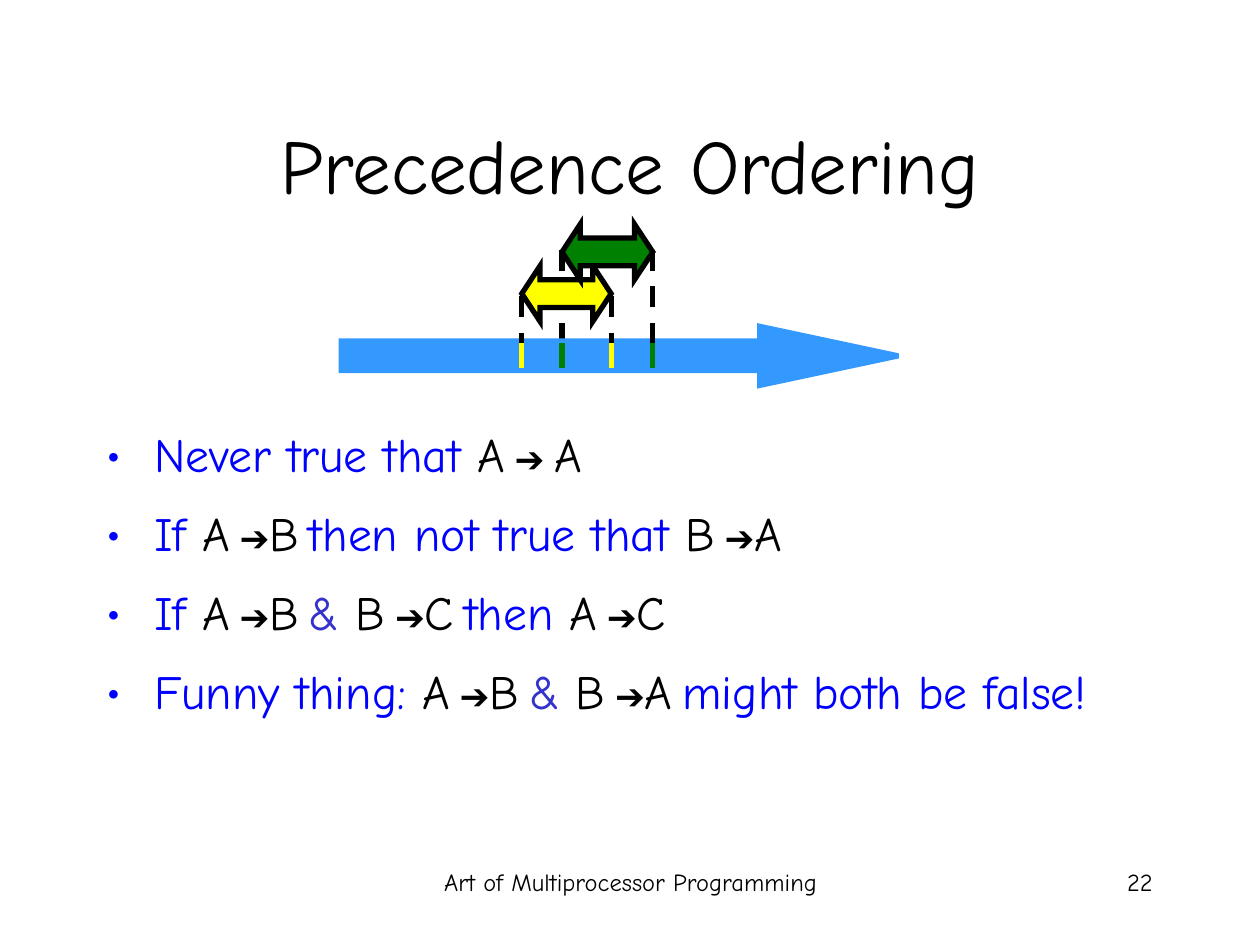
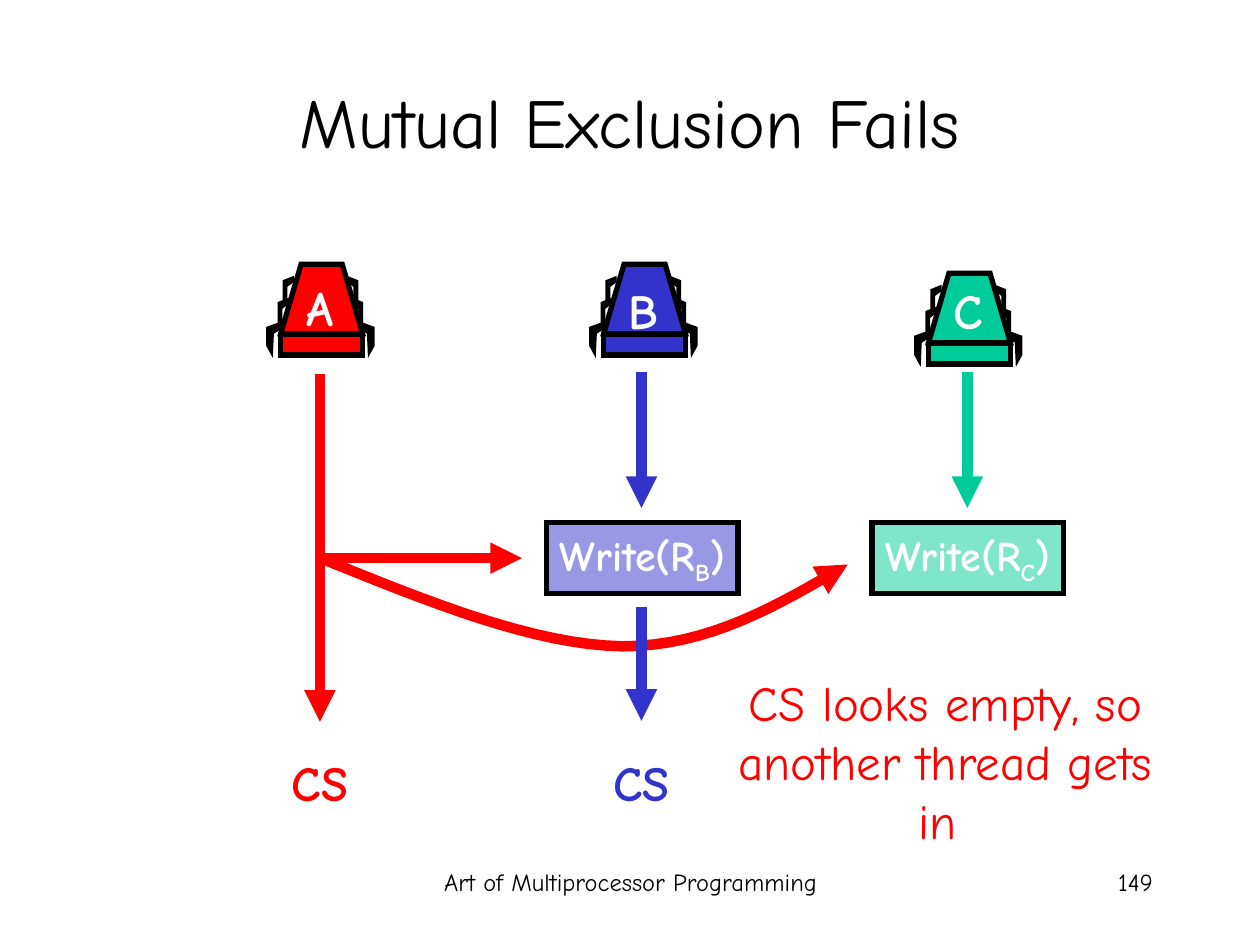
from itertools import groupby

from lxml import etree
from pptx import Presentation
from pptx import util as u
from pptx.dml.color import RGBColor
from pptx.enum import dml, shapes, text
from pptx.oxml.ns import qn

FONT = "Comic Neue"
BLACK, WHITE, RED, YELLOW = "000000", "FFFFFF", "FF0000", "FFFF00"
BLUE, INDIGO, SKY = "0000FF", "3333CC", "3399FF"
GREEN, TEAL = "008000", "00CC99"
CENTER, RIGHT = text.PP_ALIGN.CENTER, text.PP_ALIGN.RIGHT
FOOTER = "Art of Multiprocessor Programming"
ARROW = "➔"

BULLETS = [
    [("Never true that ", BLUE), ("A ➔ A", BLACK)],
    [("If ", BLUE), ("A ➔B ", BLACK), ("then not true that ", BLUE), ("B ➔A", BLACK)],
    [("If ", BLUE), ("A ➔B ", BLACK), ("& ", INDIGO), ("B ➔C ", BLACK),
     ("then ", BLUE), ("A ➔C", BLACK)],
    [("Funny thing: ", BLUE), ("A ➔B ", BLACK), ("& ", INDIGO), ("B ➔A ", BLACK),
     ("might both be false!", BLUE)],
]

SMALL_LEG = [(0, 0), (0.2, 0.08), (0.2, 0.48), (0.13, 0.56), (0.13, 0.2), (0, 0.1)]
LARGE_LEG = [(0, 0), (0.36, 0.13), (0.36, 0.5), (0.25, 0.7), (0.23, 0.25), (0.03, 0.13)]
LEGS = [(1.52, 1.14, LARGE_LEG), (1.45, 0.69, SMALL_LEG), (1.35, 0.25, SMALL_LEG)]
LEG_MIRROR = 1.6
HOOD = [(0, 1.4), (0.41, 0), (1.24, 0), (1.65, 1.4)]


def color(value):
    return RGBColor.from_string(value)


def apply(target, values):
    for name, value in values.items():
        setattr(target, name, value)


def add_child(parent, tag, **attributes):
    return etree.SubElement(parent, qn(tag), attributes)


def place(shape, left, top, width, height):
    apply(shape, {"left": u.Cm(left), "top": u.Cm(top),
                  "width": u.Cm(width), "height": u.Cm(height)})


def add_run(paragraph, content, fill, size, bold=False, name=FONT):
    run = paragraph.add_run()
    run.text = content
    apply(run.font, {"size": u.Pt(size), "bold": bold, "name": name})
    run.font.color.rgb = color(fill)
    return run


def add_label(slide, box, content, fill, size, align=CENTER, bold=False):
    shape = slide.shapes.add_textbox(*map(u.Cm, box))
    shape.text_frame.word_wrap = True
    paragraph = shape.text_frame.paragraphs[0]
    paragraph.alignment = align
    add_run(paragraph, content, fill, size, bold)


def style_shape(shape, fill, outline=BLACK, width=3):
    shape.shadow.inherit = False
    shape.fill.solid()
    shape.fill.fore_color.rgb = color(fill)
    shape.line.color.rgb = color(outline)
    shape.line.width = u.Pt(width)
    add_child(shape.line._get_or_add_ln(), "a:miter", lim="800000")


def add_block(slide, kind, box, fill, outline=BLACK, adjustments=()):
    shape = slide.shapes.add_shape(kind, *map(u.Cm, box))
    for index, value in enumerate(adjustments):
        shape.adjustments[index] = value
    style_shape(shape, fill, outline)
    return shape


def draw_outline(slide, points, close=True):
    points = [(u.Cm(x), u.Cm(y)) for x, y in points]
    builder = slide.shapes.build_freeform(*points[0], scale=1.0)
    builder.add_line_segments(points[1:], close=close)
    return builder.convert_to_shape()


def style_line(shape, fill, width, dashed=False, arrow=False):
    shape.line.color.rgb = color(fill)
    shape.line.width = u.Pt(width)
    if dashed:
        shape.line.dash_style = dml.MSO_LINE.DASH
    if arrow:
        add_child(shape.line._get_or_add_ln(), "a:tailEnd", type="triangle")


def add_line(slide, start, end, fill, width=3, **options):
    line = slide.shapes.add_connector(
        shapes.MSO_CONNECTOR.STRAIGHT, *map(u.Cm, start + end))
    style_line(line, fill, width, **options)
    add_child(line._element.spPr, "a:effectLst")


def bezier(points, steps=16):
    a, b, c, d = points
    for step in range(1, steps + 1):
        t = step / steps
        s = 1 - t
        yield tuple(s**3 * a[i] + 3 * s * s * t * b[i] + 3 * s * t * t * c[i] + t**3 * d[i]
                    for i in (0, 1))


def add_curve(slide, knots, fill, width):
    points = [knots[0]]
    for first in range(0, len(knots) - 1, 3):
        points.extend(bezier(knots[first:first + 4]))
    curve = draw_outline(slide, points, close=False)
    curve.shadow.inherit = False
    curve.fill.background()
    style_line(curve, fill, width, arrow=True)


def add_slide(presentation, layout, title, size, top, number):
    slide = presentation.slides.add_slide(presentation.slide_layouts[layout])
    add_label(slide, (8.69, 17.35, 8.05, 1.27), FOOTER, BLACK, 14)
    add_label(slide, (18.21, 17.35, 5.28, 1.27), number, BLACK, 14, RIGHT)
    place(slide.shapes.title, 1.9, top, 21.6, 3.18)
    frame = slide.shapes.title.text_frame
    apply(frame, {"vertical_anchor": text.MSO_ANCHOR.MIDDLE,
                  "auto_size": text.MSO_AUTO_SIZE.NONE})
    frame.paragraphs[0].alignment = CENTER
    add_run(frame.paragraphs[0], title, BLACK, size)
    return slide


def add_relation(paragraph, content, fill):
    for is_arrow, letters in groupby(content, lambda letter: letter in (" ", ARROW)):
        size, name = (20.4, "Arial") if is_arrow else (27.2, FONT)
        add_run(paragraph, "".join(letters), fill, size, name=name)


def add_bullet(paragraph, fragments):
    apply(paragraph, {"line_spacing": u.Pt(33), "space_before": u.Pt(12.2)})
    properties = paragraph._p.get_or_add_pPr()
    add_child(add_child(properties, "a:buClr"), "a:srgbClr", val=BLUE)
    add_child(properties, "a:buFont", typeface=FONT)
    add_child(properties, "a:buChar", char="•")
    for content, fill in fragments:
        if ARROW in content:
            add_relation(paragraph, content, fill)
        else:
            add_run(paragraph, content, fill, 27.2)


def add_bullets(slide, bullets):
    body = slide.placeholders[1]
    place(body, 1.9, 8.43, 21.6, 7.82)
    frame = body.text_frame
    frame.auto_size = text.MSO_AUTO_SIZE.NONE
    for index, fragments in enumerate(bullets):
        add_bullet(frame.add_paragraph() if index else frame.paragraphs[0], fragments)


def add_interval(slide, start, end, top, fill):
    add_block(slide, shapes.MSO_SHAPE.LEFT_RIGHT_ARROW, (start, top, end - start, 1.12),
              fill, adjustments=(0.5, 0.329))
    for x in (start, end):
        add_line(slide, (x, 6.91), (x, 7.42), fill)


def add_name(slide, center, top, name, fill):
    width = 3
    add_label(slide, (center - width / 2, top, width, 1.45), name, fill, 28, bold=True)


def add_machine(slide, left, top, name, label_top, fill):
    for leg_left, leg_top, outline in LEGS:
        right_leg = [(leg_left + x, leg_top + y) for x, y in outline]
        left_leg = [(LEG_MIRROR - x, y) for x, y in right_leg]
        for leg in (right_leg, left_leg):
            shape = draw_outline(slide, [(left + x, top + y) for x, y in leg])
            style_shape(shape, BLACK, width=0.75)
    style_shape(draw_outline(slide, [(left + x, top + y) for x, y in HOOD]), fill)
    add_block(slide, shapes.MSO_SHAPE.RECTANGLE, (left, top + 1.42, 1.65, 0.41), fill)
    add_name(slide, left + 0.8, label_top, name, WHITE)


def add_write(slide, left, register, fill):
    shape = add_block(slide, shapes.MSO_SHAPE.RECTANGLE, (left, 10.54, 3.86, 1.42), fill)
    add_child(shape._element.spPr.find(qn("a:solidFill"))[0], "a:alpha", val="50000")
    apply(shape.text_frame, {"word_wrap": False, "vertical_anchor": text.MSO_ANCHOR.TOP})
    paragraph = shape.text_frame.paragraphs[0]
    paragraph.alignment = CENTER
    write, subscript, closing = [
        add_run(paragraph, content, WHITE, 24, True) for content in ("Write(R", register, ")")]
    subscript._r.get_or_add_rPr().set("baseline", "-25000")


def build_precedence(presentation):
    slide = add_slide(presentation, 1, "Precedence Ordering", 44, 1.7, "22")
    yellow_start, yellow_end = 10.52, 12.32
    green_start, green_end = 11.33, 13.16
    add_line(slide, (green_start, 5.03), (green_start, 7.42), BLACK, dashed=True)
    add_block(slide, shapes.MSO_SHAPE.RIGHT_ARROW, (6.88, 6.58, 11.23, 1.19),
              SKY, SKY, (0.5, 2.347))
    for x, top, bottom in [(yellow_start, 5.97, 6.91), (yellow_end, 5.97, 6.91),
                           (green_end, 5.03, 7.42)]:
        add_line(slide, (x, top), (x, bottom), BLACK, dashed=True)
    add_interval(slide, yellow_start, yellow_end, 5.36, YELLOW)
    add_interval(slide, green_start, green_end, 4.52, GREEN)
    add_bullets(slide, BULLETS)


def build_exclusion(presentation):
    slide = add_slide(presentation, 5, "Mutual Exclusion Fails", 40, 0.84, "149")
    lane_a, lane_b, lane_c = 6.45, 12.93, 19.5
    add_machine(slide, 5.66, 5.33, "A", 5.46, RED)
    add_machine(slide, 12.17, 5.33, "B", 5.54, INDIGO)
    add_machine(slide, 18.72, 5.51, "C", 5.54, TEAL)
    add_write(slide, 11.02, "B", INDIGO)
    add_write(slide, 17.58, "C", TEAL)
    add_curve(slide, [(6.53, 11.28), (8.66, 12.14), (10.77, 13), (12.55, 13.03),
                      (14.3, 13.03), (15.7, 12.19), (17.09, 11.38)], RED, 6)
    for start, end, fill in [
        ((lane_b, 7.49), (lane_b, 10.24), INDIGO),
        ((lane_c, 7.49), (lane_c, 10.24), TEAL),
        ((lane_a, 7.54), (lane_a, 14.55), RED),
        ((lane_a, 11.25), (10.52, 11.25), RED),
        ((lane_b, 12.24), (lane_b, 14.53), INDIGO),
    ]:
        add_line(slide, start, end, fill, 6, arrow=True)
    for lane, fill in [(lane_a, RED), (lane_b, INDIGO)]:
        add_name(slide, lane, 15.04, "CS", fill)
    add_label(slide, (14.17, 13.44, 9.78, 3.81),
              "CS looks empty, so another thread gets in ", RED, 28)


def main():
    presentation = Presentation()
    apply(presentation, {"slide_width": u.Cm(25.4), "slide_height": u.Cm(19.05)})
    build_precedence(presentation)
    build_exclusion(presentation)
    presentation.save("out.pptx")


if __name__ == "__main__":
    main()
